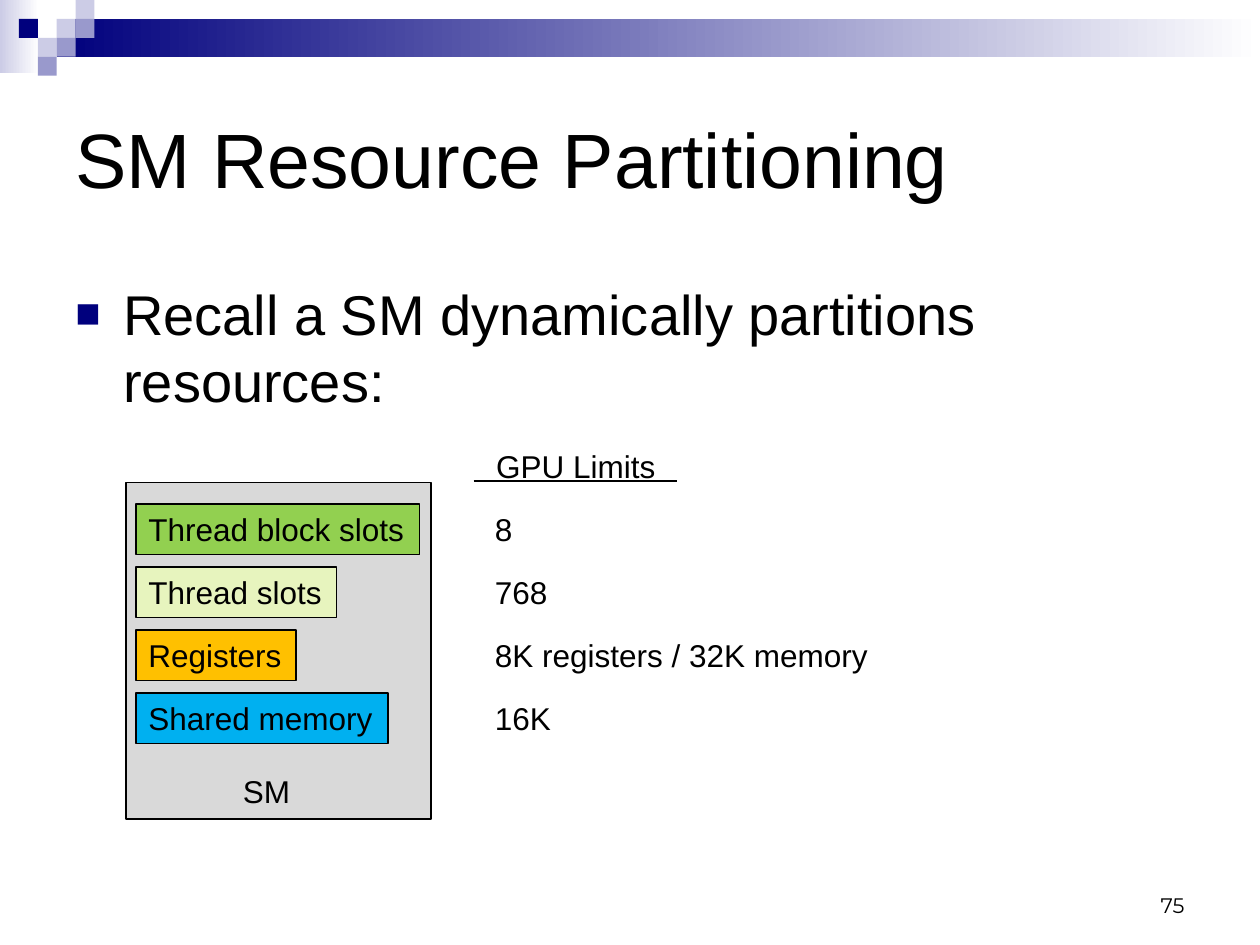
"""Build the slide on how an SM partitions its resources."""
from dataclasses import dataclass

from lxml.etree import SubElement
from pptx import Presentation
from pptx.dml.color import RGBColor
from pptx.enum.shapes import MSO_CONNECTOR, MSO_SHAPE
from pptx.enum.text import MSO_ANCHOR, PP_ALIGN
from pptx.oxml.ns import qn
from pptx.shapes.autoshape import Shape
from pptx.slide import Slide
from pptx.util import Inches, Pt


@dataclass(frozen=True)
class Theme:
    font: str = "Arial"
    number_font: str = "Montserrat"
    title_size: int = 44
    body_size: int = 32
    label_size: int = 18
    number_size: int = 12
    black: str = "000000"
    white: str = "FFFFFF"
    navy: str = "00007D"
    lavender: str = "CCCCE6"
    violet: str = "9999CC"
    panel: str = "D9D9D9"
    green: str = "92D050"
    lime: str = "E7F4BE"
    amber: str = "FFC000"
    blue: str = "00B0F0"


@dataclass(frozen=True)
class Box:
    left: float
    top: float
    width: float
    height: float

    def lengths(self) -> list[Inches]:
        return [Inches(value) for value in (self.left, self.top, self.width, self.height)]


@dataclass(frozen=True)
class Resource:
    name: str
    color: str
    width: float
    limit: str
    limit_width: float


@dataclass(frozen=True)
class Tile:
    column: int
    row: int
    color: str


THEME = Theme()
TILE_SIZE = 0.15
ROW_TOP = 4.0
ROW_PITCH = 0.5
LABEL_HEIGHT = 0.4

TILES = [
    Tile(3, 1, THEME.lavender),
    Tile(4, 0, THEME.lavender),
    Tile(4, 1, THEME.violet),
    Tile(2, 2, THEME.lavender),
    Tile(1, 1, THEME.navy),
    Tile(3, 2, THEME.violet),
    Tile(2, 3, THEME.violet),
]
RESOURCES = [
    Resource("Thread block slots", THEME.green, 2.25, "8", 0.34),
    Resource("Thread slots", THEME.lime, 1.59, "768", 0.62),
    Resource("Registers", THEME.amber, 1.27, "8K registers / 32K memory", 3.19),
    Resource("Shared memory", THEME.blue, 2.0, "16K", 0.65),
]


def add_rectangle(slide: Slide, box: Box, color: str, outlined: bool = False) -> Shape:
    shape = slide.shapes.add_shape(MSO_SHAPE.RECTANGLE, *box.lengths())
    shape.shadow.inherit = False
    shape.fill.solid()
    shape.fill.fore_color.rgb = RGBColor.from_string(color)
    if outlined:
        shape.line.color.rgb = RGBColor.from_string(THEME.black)
        shape.line.width = Pt(0.75)
    else:
        shape.line.fill.background()
    return shape


def add_fading_band(slide: Slide, box: Box, color: str) -> None:
    shape = add_rectangle(slide, box, color)
    shape.fill.gradient()
    shape.fill.gradient_angle = 0
    for stop, stop_color, position in zip(shape.fill.gradient_stops, (color, THEME.white), (0, 1)):
        stop.color.rgb = RGBColor.from_string(stop_color)
        stop.position = position


def write(shape: Shape, text: str, size: int, font: str = THEME.font, wrap: bool = False,
          anchor: MSO_ANCHOR = MSO_ANCHOR.TOP, align: PP_ALIGN = PP_ALIGN.LEFT) -> None:
    frame = shape.text_frame
    frame.text = text
    frame.word_wrap = wrap
    frame.vertical_anchor = anchor
    paragraph = frame.paragraphs[0]
    paragraph.alignment = align
    for run in paragraph.runs:
        run.font.name = font
        run.font.size = Pt(size)
        run.font.color.rgb = RGBColor.from_string(THEME.black)


def add_text(slide: Slide, box: Box, text: str, size: int = THEME.label_size, **options) -> Shape:
    shape = slide.shapes.add_textbox(*box.lengths())
    write(shape, text, size, **options)
    return shape


def add_bullet(shape: Shape) -> None:
    paragraph = shape.text_frame.paragraphs[0]
    paragraph.space_before = Pt(4)
    properties = paragraph._p.get_or_add_pPr()
    properties.set("marL", str(Inches(0.38)))
    properties.set("indent", str(Inches(-0.38)))
    color = SubElement(properties, qn("a:buClr"))
    SubElement(color, qn("a:srgbClr"), val=THEME.navy)
    SubElement(properties, qn("a:buSzPct"), val="75000")
    SubElement(properties, qn("a:buFont"), typeface=THEME.font)
    SubElement(properties, qn("a:buChar"), char="■")


def add_rule(slide: Slide, left: float, right: float, top: float) -> None:
    connector = slide.shapes.add_connector(
        MSO_CONNECTOR.STRAIGHT, Inches(left), Inches(top), Inches(right), Inches(top))
    connector.line.color.rgb = RGBColor.from_string(THEME.black)
    connector.line.width = Pt(1.25)
    SubElement(connector._element.spPr, qn("a:effectLst"))


def add_header(slide: Slide) -> None:
    add_fading_band(slide, Box(0, 0, 0.31, 0.58), THEME.lavender)
    add_fading_band(slide, Box(0.45, 0.15, 9.55, 0.3), THEME.navy)
    for tile in TILES:
        box = Box(tile.column * TILE_SIZE, tile.row * TILE_SIZE, TILE_SIZE, TILE_SIZE)
        add_rectangle(slide, box, tile.color)


def add_resources(slide: Slide) -> None:
    add_rectangle(slide, Box(1, 3.83, 2.42, 2.67), THEME.panel, outlined=True)
    for index, resource in enumerate(RESOURCES):
        top = ROW_TOP + index * ROW_PITCH
        label = add_rectangle(
            slide, Box(1.08, top, resource.width, LABEL_HEIGHT), resource.color, outlined=True)
        write(label, resource.name, THEME.label_size)
        add_text(slide, Box(3.83, top, resource.limit_width, LABEL_HEIGHT), resource.limit)
    add_text(slide, Box(1.83, 6.08, 0.58, LABEL_HEIGHT), "SM")
    add_text(slide, Box(3.67, 3.5, 1.8, LABEL_HEIGHT), "GPU Limits",
             wrap=True, align=PP_ALIGN.CENTER)
    add_rule(slide, 3.76, 5.37, 3.82)


def main() -> None:
    presentation = Presentation()
    presentation.slide_width = Inches(10)
    presentation.slide_height = Inches(7.5)
    slide = presentation.slides.add_slide(presentation.slide_layouts[6])
    add_header(slide)
    add_text(slide, Box(0.5, 0.5, 9, 1.5), "SM Resource Partitioning", THEME.title_size,
             wrap=True, anchor=MSO_ANCHOR.MIDDLE)
    body = add_text(slide, Box(0.5, 2.17, 9, 1.25),
                    "Recall a SM dynamically partitions resources:", THEME.body_size, wrap=True)
    add_bullet(body)
    add_resources(slide)
    add_text(slide, Box(7.17, 6.83, 2.33, 0.5), "75", THEME.number_size, font=THEME.number_font,
             wrap=True, anchor=MSO_ANCHOR.BOTTOM, align=PP_ALIGN.RIGHT)
    presentation.save("out.pptx")


main()
